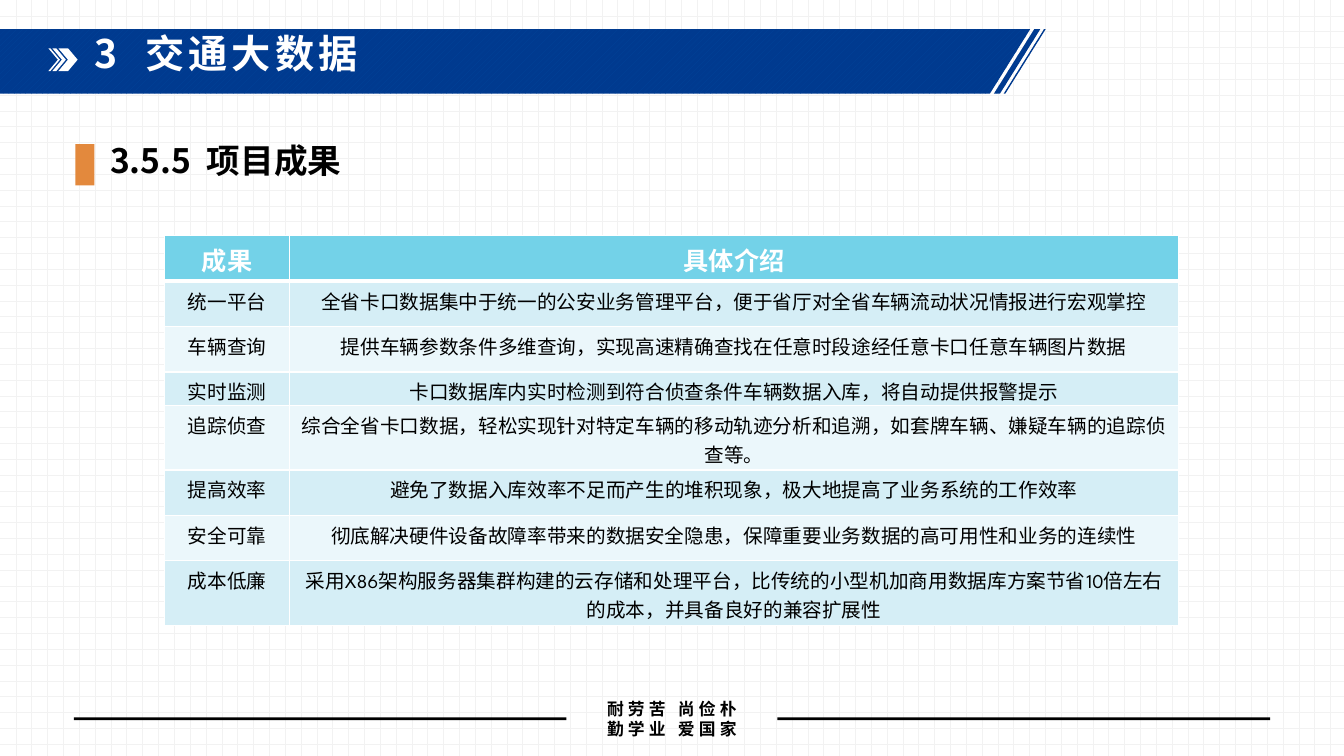
from lxml import etree
from pptx import Presentation
from pptx import util as u
from pptx.dml.color import RGBColor
from pptx.enum import dml, shapes, text
from pptx.oxml.ns import qn

RESULTS = [
    ("成果", "具体介绍"),
    ("统一平台", "全省卡口数据集中于统一的公安业务管理平台，便于省厅对全省车辆流动状况情报进行宏观掌控"),
    ("车辆查询", "提供车辆参数条件多维查询，实现高速精确查找在任意时段途经任意卡口任意车辆图片数据"),
    ("实时监测", "卡口数据库内实时检测到符合侦查条件车辆数据入库，将自动提供报警提示"),
    ("追踪侦查", "综合全省卡口数据，轻松实现针对特定车辆的移动轨迹分析和追溯，如套牌车辆、嫌疑车辆的追踪侦查等。"),
    ("提高效率", "避免了数据入库效率不足而产生的堆积现象，极大地提高了业务系统的工作效率"),
    ("安全可靠", "彻底解决硬件设备故障率带来的数据安全隐患，保障重要业务数据的高可用性和业务的连续性"),
    ("成本低廉", "采用X86架构服务器集群构建的云存储和处理平台，比传统的小型机加商用数据库方案节省10倍左右的成本，并具备良好的兼容扩展性"),
]


def color(value):
    return RGBColor.from_string(value)


def write(paragraph, words, size, ink="000000", bold=False, latin="Noto Sans CJK SC",
          spacing=0, align=text.PP_ALIGN.LEFT, leading=None, tab=None):
    if tab:
        stops = etree.SubElement(paragraph._p.get_or_add_pPr(), qn("a:tabLst"))
        etree.SubElement(stops, qn("a:tab"), pos=str(u.Inches(tab)), algn="l")
    paragraph.alignment = align
    if leading:
        paragraph.line_spacing = leading
    run = paragraph.add_run()
    run.text = words
    font = run.font
    font.size, font.bold, font.name = u.Pt(size), bold, latin
    font.color.rgb = color(ink)
    properties = run._r.get_or_add_rPr()
    properties.set("spc", str(spacing * 100))
    etree.SubElement(properties, qn("a:ea"), typeface="Noto Sans CJK SC")


class Deck:
    """Draw styled elements on one slide, with lengths in percent of its size."""

    blue, orange, white, black = "003A8F", "E3893D", "FFFFFF", "000000"
    header, bands = "73D2E8", ("D5EEF6", "EBF7FB")

    def __init__(self):
        self.presentation = Presentation()
        self.presentation.slide_width = u.Inches(13.33)
        self.presentation.slide_height = u.Inches(7.5)
        self.slide = self.presentation.slides.add_slide(self.presentation.slide_layouts[6])
        self.shapes = self.slide.shapes

    def x(self, share):
        return u.Emu(round(self.presentation.slide_width * share / 100))

    def y(self, share):
        return u.Emu(round(self.presentation.slide_height * share / 100))

    def box(self, left, top, width, height):
        return self.x(left), self.y(top), self.x(width), self.y(height)

    def pattern(self, fill, kind, front, back):
        fill.patterned()
        fill.pattern = kind
        fill.fore_color.rgb = color(front)
        fill.back_color.rgb = color(back)

    def banner(self, top, bottom, slant, stripes):
        builder = self.shapes.build_freeform(0, self.y(top), scale=1.0)
        for number, (left, right) in enumerate(stripes):
            base = max(left - slant, 0)
            corners = [(left, top), (right, top), (right - slant, bottom), (base, bottom)]
            points = [(self.x(across), self.y(down)) for across, down in corners]
            if number:
                builder.move_to(*points[0])
            builder.add_line_segments(points[1:], close=True)
        shape = builder.convert_to_shape()
        self.pattern(shape.fill, dml.MSO_PATTERN.WIDE_UPWARD_DIAGONAL, "00449A", self.blue)
        shape.line.fill.background()
        shape.shadow.inherit = False

    def shape(self, kind, place, fill):
        shape = self.shapes.add_shape(kind, *self.box(*place))
        shape.fill.solid()
        shape.fill.fore_color.rgb = color(fill)
        shape.line.fill.background()
        shape.shadow.inherit = False
        return shape

    def chevron(self, left, top, width, height, depth):
        shape = self.shape(shapes.MSO_SHAPE.CHEVRON, (left, top, width, height), self.white)
        shape.adjustments[0] = self.x(depth) / min(shape.width, shape.height)

    def text(self, place, lines, anchor=text.MSO_ANCHOR.TOP, **style):
        shape = self.shapes.add_textbox(*self.box(*place))
        frame = shape.text_frame
        frame.word_wrap, frame.vertical_anchor = True, anchor
        frame.margin_left = frame.margin_right = frame.margin_top = frame.margin_bottom = 0
        for number, words in enumerate(lines):
            paragraph = frame.add_paragraph() if number else frame.paragraphs[0]
            write(paragraph, words, **style)
        return shape

    def rule(self, start, end, level):
        line = self.shapes.add_connector(
            shapes.MSO_CONNECTOR.STRAIGHT, self.x(start), self.y(level), self.x(end), self.y(level))
        line.line.color.rgb = color(self.black)
        line.line.width = u.Pt(2)
        etree.SubElement(line._element.spPr, qn("a:effectLst"))
        return line

    def cell(self, cell, words, fill, borders, **style):
        properties = cell._tc.get_or_add_tcPr()
        for side, width in borders.items():
            edge = etree.SubElement(properties, qn(f"a:ln{side}"), w=str(u.Pt(width)))
            solid = etree.SubElement(edge, qn("a:solidFill"))
            etree.SubElement(solid, qn("a:srgbClr"), val=self.white)
        cell.fill.solid()
        cell.fill.fore_color.rgb = color(fill)
        write(cell.text_frame.paragraphs[0], words, latin="League Spartan",
              align=text.PP_ALIGN.CENTER, **style)

    def table(self, left, top, widths, heights, rows):
        place = self.box(left, top, sum(widths), sum(heights))
        table = self.shapes.add_table(len(rows), len(widths), *place).table
        table.first_row = table.horz_banding = False
        for column, width in zip(table.columns, widths):
            column.width = self.x(width)
        for number, (row, height, entries) in enumerate(zip(table.rows, heights, rows)):
            row.height = self.y(height)
            fill = self.bands[(number - 1) % 2] if number else self.header
            style = {"size": 14} if number else {"size": 18, "ink": self.white, "bold": True}
            borders = {"L": 1, "R": 1, "T": 3 if number == 1 else 1, "B": 1 if number else 3}
            for cell, words in zip(row.cells, entries):
                self.cell(cell, words, fill, borders, **style)


def main():
    deck = Deck()
    deck.pattern(deck.slide.background.fill, dml.MSO_PATTERN.DOTTED_GRID, "F2F2F2", deck.white)
    deck.banner(3.87, 12.4, 3, [(0, 76.65), (76.95, 77.4), (77.68, 77.8)])
    for left, width in [(4.35, 1.43), (3.9, 1), (3.6, 0.86)]:
        deck.chevron(left, 6.4, width, 3, depth=0.71)

    motto = deck.text((42.15, 91.75, 15.7, 6.67), ["耐劳苦 尚俭朴", "勤学业 爱国家"],
                      anchor=text.MSO_ANCHOR.MIDDLE, size=12, bold=True, spacing=3,
                      align=text.PP_ALIGN.CENTER, leading=u.Pt(14.4))
    deck.rule(94.5, 57.85, 95.08).end_connect(motto, 3)
    deck.rule(42.15, 5.5, 95.08).begin_connect(motto, 1)

    deck.shape(shapes.MSO_SHAPE.RECTANGLE, (5.6, 19.07, 1.42, 5.47), deck.orange)
    deck.text((7.05, 4.53, 60.7, 7.47), ["3\t交通大数据"], size=28, ink=deck.white,
              bold=True, spacing=3, leading=0.9, tab=0.5)
    deck.text((8.2, 19.07, 86.3, 5.47), ["3.5.5\t项目成果"], size=24, bold=True,
              leading=0.9, tab=0.96)
    deck.table(12.25, 31.2, [9.3, 66.15], [6, 6, 6, 4.27, 8.53, 6, 6, 8.53], RESULTS)
    deck.presentation.save("out.pptx")


if __name__ == "__main__":
    main()
